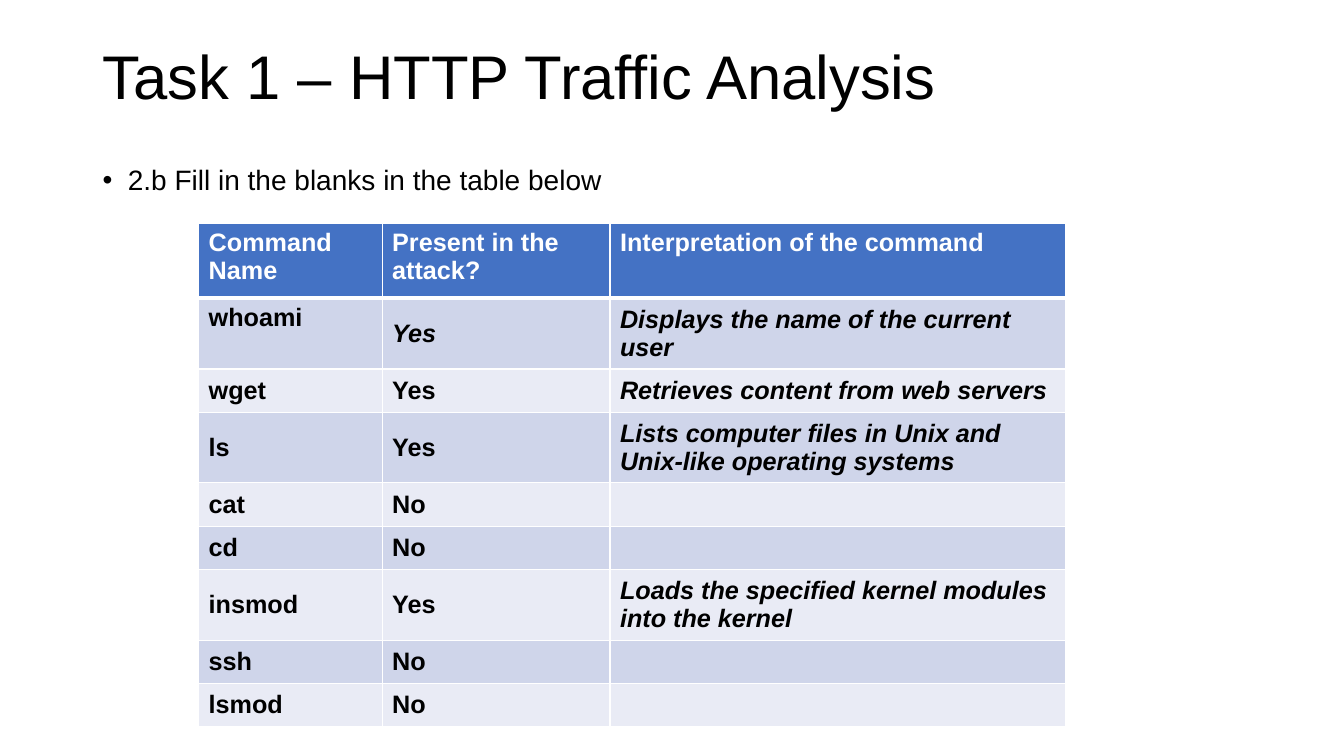
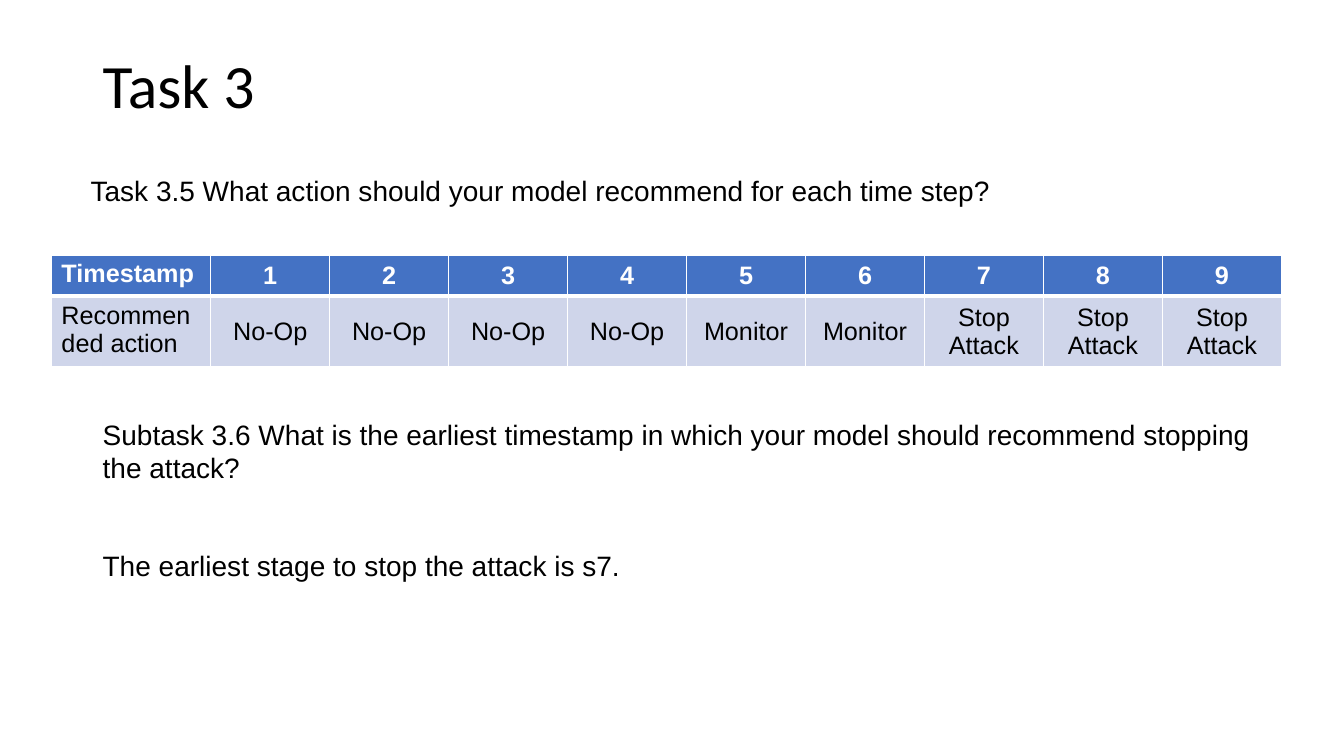
"""Build two task slides with a shared title, text and table style."""
from lxml.etree import SubElement
from pptx import Presentation
from pptx.dml.color import RGBColor
from pptx.enum.text import MSO_ANCHOR, PP_ALIGN
from pptx.oxml.ns import qn
from pptx.util import Inches, Pt

HUES = {"ink": "000000", "white": "FFFFFF", "head": "4472C4",
        "dark": "CFD5EA", "light": "E9EBF5"}
LEFT, WIDE = 0.92, 11.5

COMMANDS = [
    ("Command Name", "Present in the attack?", "Interpretation of the command"),
    ("whoami", "Yes", "Displays the name of the current user"),
    ("wget", "Yes", "Retrieves content from web servers"),
    ("ls", "Yes", "Lists computer files in Unix and Unix-like operating systems"),
    ("cat", "No", ""),
    ("cd", "No", ""),
    ("insmod", "Yes", "Loads the specified kernel modules into the kernel"),
    ("ssh", "No", ""),
    ("lsmod", "No", ""),
]
ACTIONS = ["No-Op"] * 4 + ["Monitor"] * 2 + ["Stop Attack"] * 3
STEPS = [
    ["Timestamp"] + [str(step + 1) for step in range(len(ACTIONS))],
    ["Recommended action"] + ACTIONS,
]
NOTES = [
    ("Task 3.5 What action should your model recommend for each time step?",
     (0.8, 1.67, 11.41, 0.44), True),
    ("Subtask 3.6 What is the earliest timestamp in which your model should "
     "recommend stopping the attack?", (LEFT, 4.09, 11.79, 0.77), True),
    ("The earliest stage to stop the attack is s7.",
     (LEFT, 5.39, 5.37, 0.44), False),
]


def paint(font, size, hue="ink", face="Arial", bold=False, slant=False):
    font.size, font.name = Pt(size), face
    font.bold, font.italic = bold, slant
    font.color.rgb = RGBColor.from_string(HUES[hue])


def add_text(slide, text, at, size=20, face="Arial", wrap=True):
    frame = slide.shapes.add_textbox(*map(Inches, at)).text_frame
    frame.word_wrap = wrap
    frame.text = text
    para = frame.paragraphs[0]
    paint(para.runs[0].font, size, face=face)
    return para


def add_title(slide, text, high, face):
    para = add_text(slide, text, (LEFT, 0.4, WIDE, high), 44, face)
    para.line_spacing = 0.9
    slide.shapes[-1].text_frame.vertical_anchor = MSO_ANCHOR.MIDDLE


def add_bullet(para):
    para.line_spacing, para.space_before = 0.9, Pt(10)
    props = para._p.get_or_add_pPr()
    props.set("marL", str(Inches(0.25)))
    props.set("indent", str(-Inches(0.25)))
    SubElement(props, qn("a:buFont"), typeface="Arial")
    SubElement(props, qn("a:buChar"), char="•")


def add_edges(cell, row):
    props = cell._tc.get_or_add_tcPr()
    thick = {"lnB": row == 0, "lnT": row == 1}
    for side in ("lnL", "lnR", "lnT", "lnB"):
        width = Pt(3 if thick.get(side) else 1)
        line = SubElement(props, qn("a:" + side), w=str(width))
        fill = SubElement(line, qn("a:solidFill"))
        SubElement(fill, qn("a:srgbClr"), val=HUES["white"])


def add_table(slide, data, spot, cols, highs, style):
    size = (sum(cols), sum(highs))
    table = slide.shapes.add_table(
        len(data), len(cols), *map(Inches, spot + size)).table
    for col, width in zip(table.columns, cols):
        col.width = Inches(width)
    for row, high in zip(table.rows, highs):
        row.height = Inches(high)
    for r, texts in enumerate(data):
        hue = "head" if r == 0 else "dark" if r % 2 else "light"
        for c, text in enumerate(texts):
            cell = table.cell(r, c)
            add_edges(cell, r)
            cell.fill.solid()
            cell.fill.fore_color.rgb = RGBColor.from_string(HUES[hue])
            cell.text = text
            top, mid, bold, slant = style(r, c)
            cell.vertical_anchor = MSO_ANCHOR.TOP if top else MSO_ANCHOR.MIDDLE
            para = cell.text_frame.paragraphs[0]
            para.alignment = PP_ALIGN.CENTER if mid else PP_ALIGN.LEFT
            paint(para.font, 18, "ink" if r else "white")
            for run in para.runs:
                paint(run.font, 18, "ink" if r else "white",
                      bold=bold, slant=slant)


def command_style(r, c):
    top = r == 0 or (r, c) == (1, 0)
    slant = (r > 0 and c == 2) or (r, c) == (1, 1)
    return top, False, True, slant


def step_style(r, c):
    return c == 0, c > 0, r == 0, False


deck = Presentation()
deck.slide_width, deck.slide_height = Inches(13.33), Inches(7.5)
blank = deck.slide_layouts[6]

traffic = deck.slides.add_slide(blank)
add_title(traffic, "Task 1 – HTTP Traffic Analysis", 0.78, "Arial")
add_bullet(add_text(traffic, "2.b Fill in the blanks in the table below",
                    (LEFT, 1.6, WIDE, 0.62)))
highs = [0.74] + [0.66 if len(row[2]) > 35 else 0.43 for row in COMMANDS[1:]]
add_table(traffic, COMMANDS, (1.97, 2.22), (1.82, 2.26, 4.52), highs,
          command_style)

model = deck.slides.add_slide(blank)
add_title(model, "Task 3", 0.95, "Calibri")
for text, at, wrap in NOTES:
    add_text(model, text, at, wrap=wrap)
add_table(model, STEPS, (0.51, 2.53), [1.58] + [1.18] * len(ACTIONS),
          (0.41, 0.7), step_style)

deck.save("out.pptx")
